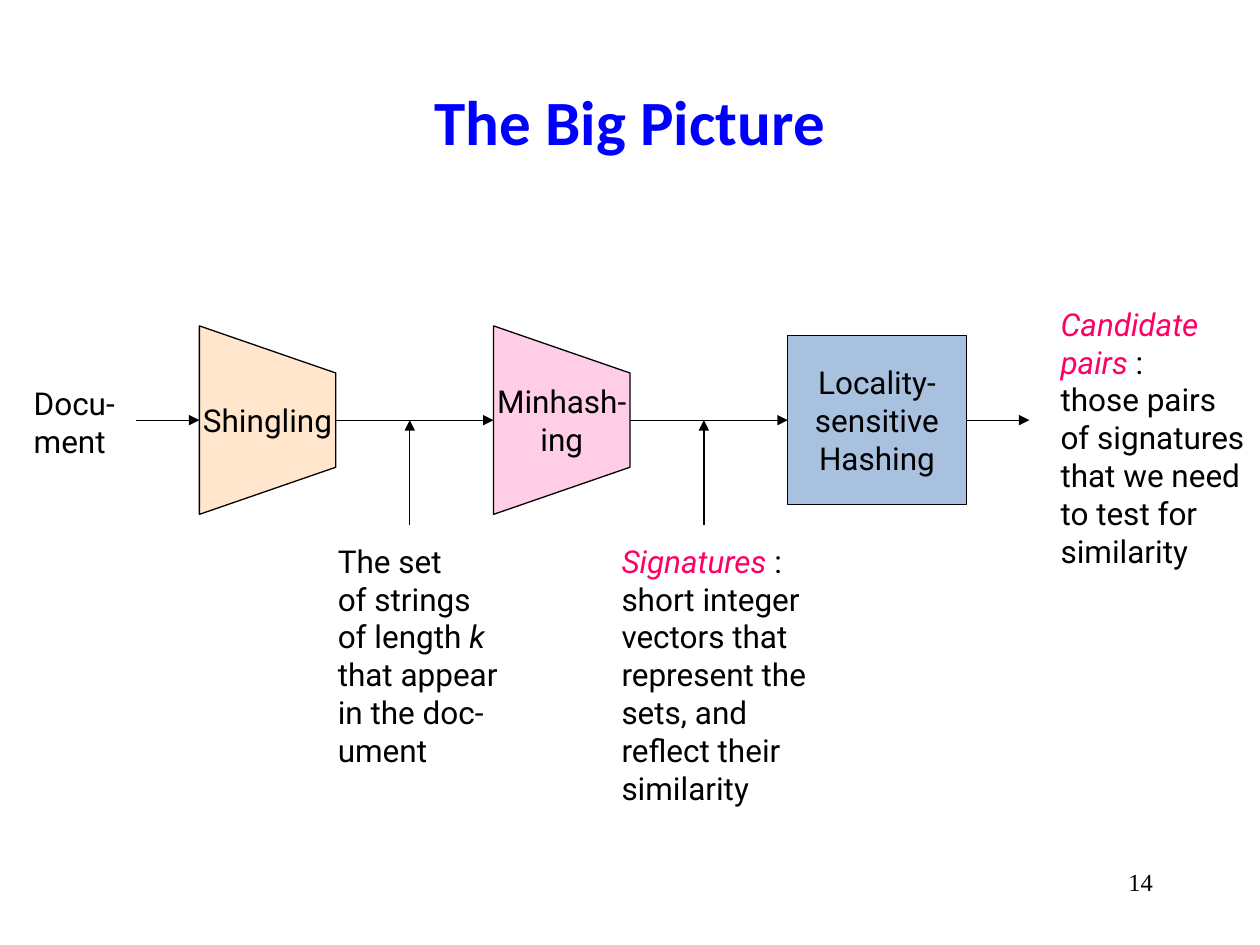
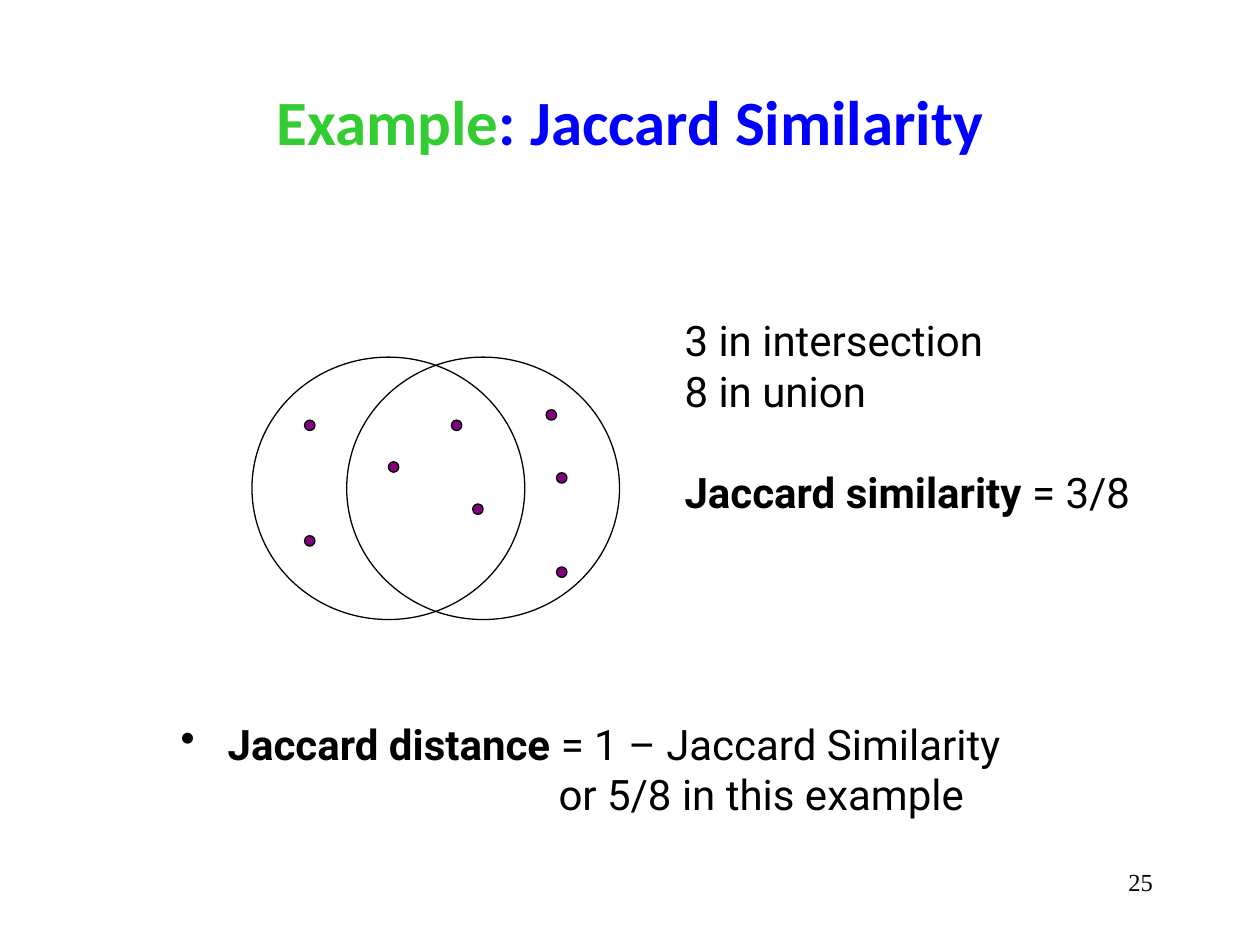
from lxml import etree
from pptx import Presentation
from pptx.dml.color import RGBColor
from pptx.enum.shapes import MSO_CONNECTOR, MSO_SHAPE
from pptx.enum.text import MSO_ANCHOR as Anchor, PP_ALIGN as Align
from pptx.oxml.ns import qn
from pptx.util import Cm, Pt

BLACK, BLUE, GREEN, PINK, PURPLE = "000000", "0000FF", "33CC33", "FF0066", "800080"
BODY_FONT, TITLE_FONT, NUMBER_FONT = "Roboto", "Calibri", "Times New Roman"
LABEL_SIZE, BODY_SIZE = 18, 24
LINE_WIDTH = Pt(0.75)

FLOW_Y = 8.47
STAGE_LEFT, STAGE_PITCH, STAGE_WIDTH = 4.02, 5.93, 2.75
STAGE_HALF_TALL, STAGE_HALF_SHORT = 1.9, 0.95
POINTER_LEFT, POINTER_BOTTOM = 8.26, 10.58

DOTS = [(6.14, 8.47), (6.14, 10.8), (7.83, 9.31), (9.53, 10.16),
        (9.1, 8.47), (11.22, 9.53), (11.22, 11.43), (11.01, 8.26)]


def colour(hex_code):
    """Turn a hex string into a colour."""
    return RGBColor.from_string(hex_code)


def emphasis(text, hex_code=PINK):
    """Describe an italic run."""
    return text, {"italic": True, "color": hex_code}


def bold(text):
    """Describe a bold run."""
    return text, {"bold": True}


def write_lines(frame, lines, size=LABEL_SIZE, font=BODY_FONT, align=Align.LEFT):
    """Write one paragraph per line; a line is a string or a list of strings and styled runs."""
    frame.word_wrap = True
    for index, line in enumerate(lines):
        paragraph = frame.add_paragraph() if index else frame.paragraphs[0]
        paragraph.alignment = align
        paragraph.font.name = font
        paragraph.font.size = Pt(size)
        paragraph.font.color.rgb = colour(BLACK)
        for part in [line] if isinstance(line, str) else line:
            text, style = (part, {}) if isinstance(part, str) else part
            run = paragraph.add_run()
            run.text = text
            run.font.bold = style.get("bold")
            run.font.italic = style.get("italic")
            if "color" in style:
                run.font.color.rgb = colour(style["color"])
    return frame.paragraphs


def add_text(slide, left, top, width, height, lines, anchor=Anchor.TOP, **style):
    """Add a text box and return its paragraphs."""
    frame = slide.shapes.add_textbox(Cm(left), Cm(top), Cm(width), Cm(height)).text_frame
    frame.vertical_anchor = anchor
    return write_lines(frame, lines, **style)


def add_numbered_slide(presentation, title, number):
    """Add a blank slide with its title and slide number."""
    slide = presentation.slides.add_slide(presentation.slide_layouts[6])
    runs = [(text, {"bold": True, "color": hex_code}) for text, hex_code in title]
    add_text(slide, 1.9, 0.85, 21.6, 3.17, [runs], Anchor.MIDDLE,
             size=36, font=TITLE_FONT, align=Align.CENTER)
    add_text(slide, 18.2, 17.36, 5.29, 1.27, [number],
             size=14, font=NUMBER_FONT, align=Align.RIGHT)
    return slide


def style_shape(shape, fill=None, opacity=100):
    """Give a shape a thin black outline and an optional, possibly translucent, fill."""
    shape.shadow.inherit = False
    shape.line.color.rgb = colour(BLACK)
    shape.line.width = LINE_WIDTH
    if fill is None:
        shape.fill.background()
        return
    shape.fill.solid()
    shape.fill.fore_color.rgb = colour(fill)
    if opacity < 100:
        fill_colour = shape.fill._xPr.find(qn("a:solidFill"))[0]
        etree.SubElement(fill_colour, qn("a:alpha")).set("val", str(opacity * 1000))


def label_shape(shape, lines):
    """Centre a label inside a shape."""
    frame = shape.text_frame
    frame.margin_left = frame.margin_right = 0
    frame.vertical_anchor = Anchor.MIDDLE
    write_lines(frame, lines, align=Align.CENTER)


def add_stage(slide, left, fill, lines):
    """Add a trapezoid stage that narrows to the right."""
    right = left + STAGE_WIDTH
    corners = [(left, FLOW_Y + STAGE_HALF_TALL), (right, FLOW_Y + STAGE_HALF_SHORT),
               (right, FLOW_Y - STAGE_HALF_SHORT), (left, FLOW_Y - STAGE_HALF_TALL)]
    points = [(Cm(x), Cm(y)) for x, y in corners]
    builder = slide.shapes.build_freeform(*points[0])
    builder.add_line_segments(points[1:], close=True)
    stage = builder.convert_to_shape()
    style_shape(stage, fill, 49)
    label_shape(stage, lines)


def add_preset(slide, preset, left, top, width, height, fill=None, opacity=100):
    """Add an outlined preset shape."""
    shape = slide.shapes.add_shape(preset, Cm(left), Cm(top), Cm(width), Cm(height))
    style_shape(shape, fill, opacity)
    return shape


def add_arrow(slide, start, end):
    """Add a straight arrow between two points."""
    connector = slide.shapes.add_connector(
        MSO_CONNECTOR.STRAIGHT, *(Cm(value) for value in (*start, *end)))
    connector.line.color.rgb = colour(BLACK)
    connector.line.width = LINE_WIDTH
    line = connector.line._get_or_add_ln()
    etree.SubElement(line, qn("a:tailEnd")).set("type", "triangle")
    etree.SubElement(connector._element.spPr, qn("a:effectLst"))
    return connector


def indent(paragraph, left, bullet=None, hanging=0):
    """Indent a paragraph, with a hanging bullet if one is given."""
    properties = paragraph._p.get_or_add_pPr()
    properties.set("marL", str(Cm(left)))
    properties.set("indent", str(-Cm(hanging)))
    if bullet:
        mark = etree.Element(qn("a:buChar"))
        mark.set("char", bullet)
        properties.insert(0, mark)


def build_big_picture(presentation):
    """Build the pipeline from document to candidate pairs."""
    slide = add_numbered_slide(presentation, [("The Big Picture", BLUE)], "14")
    add_text(slide, 0.43, 7.62, 2.16, 1.78, ["Docu-", "ment"])
    add_arrow(slide, (2.75, FLOW_Y), (STAGE_LEFT, FLOW_Y))

    hashing = add_preset(slide, MSO_SHAPE.RECTANGLE, STAGE_LEFT + 2 * STAGE_PITCH,
                         FLOW_Y - 1.7, 3.6, 3.4, "4F81BD", 49)
    label_shape(hashing, ["Locality-", "sensitive", "Hashing"])

    stages = [("FFCC99", ["Shingling"]), ("FF99CC", ["Minhash-", "ing"])]
    for index, (fill, lines) in enumerate(stages):
        left = STAGE_LEFT + index * STAGE_PITCH
        add_stage(slide, left, fill, lines)
        flow = add_arrow(slide, (left + STAGE_WIDTH, FLOW_Y), (left + STAGE_PITCH, FLOW_Y))
        pointer_x = POINTER_LEFT + index * STAGE_PITCH
        add_arrow(slide, (pointer_x, POINTER_BOTTOM), (pointer_x, FLOW_Y))
    flow.end_connect(hashing, 1)
    add_arrow(slide, (19.48, FLOW_Y), (20.75, FLOW_Y)).begin_connect(hashing, 3)

    add_text(slide, 6.56, 10.8, 3.76, 4.83,
             ["The set", "of strings", ["of length ", emphasis("k", BLACK)],
              "that appear", "in the doc-", "ument"])
    add_text(slide, 12.28, 10.8, 4.27, 5.59,
             [[emphasis("Signatures "), ":"], "short integer", "vectors that",
              "represent the", "sets, and", "reflect their", "similarity"])
    add_text(slide, 21.13, 6.02, 4.27, 5.64,
             [[emphasis("Candidate")], [emphasis("pairs "), ":"], "those pairs",
              "of signatures", "that we need", "to test for", "similarity"])


def build_jaccard_example(presentation):
    """Build the two overlapping sets and their similarity."""
    slide = add_numbered_slide(
        presentation, [("Example", GREEN), (": Jaccard Similarity", BLUE)], "25")
    for left in (6.99, 5.08):
        add_preset(slide, MSO_SHAPE.OVAL, left, 7.2, 5.5, 5.29)
    for left, top in DOTS:
        add_preset(slide, MSO_SHAPE.OVAL, left, top, 0.21, 0.21, PURPLE)

    results = add_text(slide, 13.55, 6.22, 11.43, 4.37,
                       ["3 in intersection", "8 in union",
                        [bold("Jaccard similarity "), "= 3/8"]], size=BODY_SIZE)
    results[2].space_before = Pt(29)

    distance, example = add_text(slide, 3.39, 14.35, 19.48, 2.31,
                                 [[bold("Jaccard distance"), " = 1 – Jaccard Similarity"],
                                  "or 5/8 in this example"], size=BODY_SIZE)
    indent(distance, 0.95, "•", 0.95)
    indent(example, 7.62)


def main():
    """Build and save the presentation."""
    presentation = Presentation()
    presentation.slide_width, presentation.slide_height = Cm(25.4), Cm(19.05)
    build_big_picture(presentation)
    build_jaccard_example(presentation)
    presentation.save("out.pptx")


if __name__ == "__main__":
    main()
